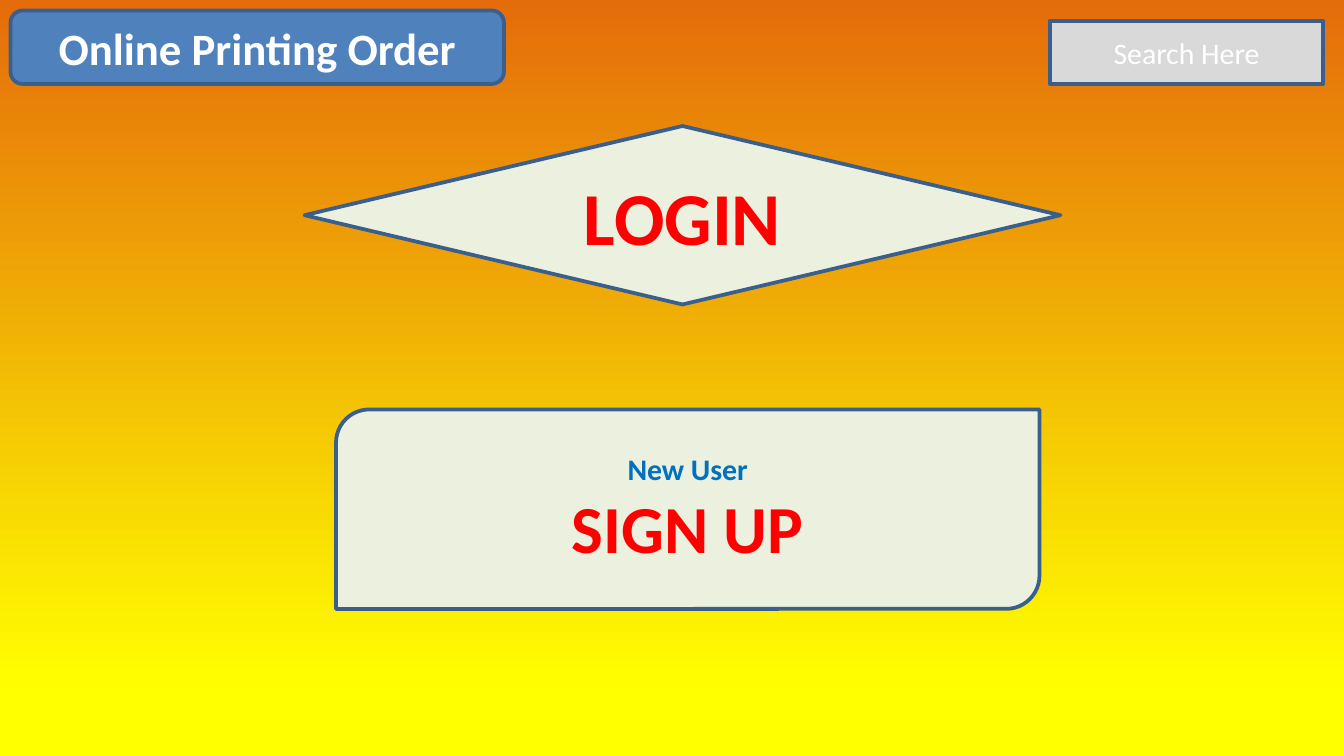
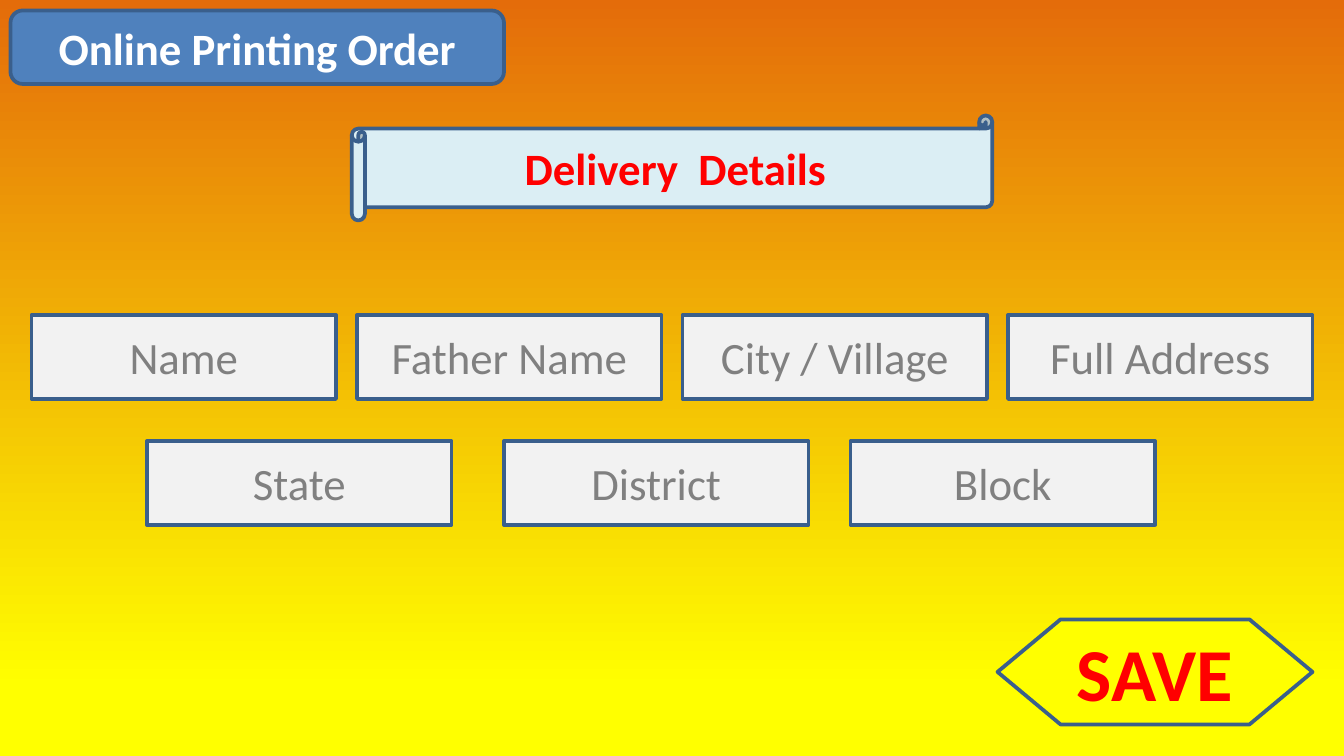
from pptx import Presentation
from pptx.dml.color import RGBColor
from pptx.enum.shapes import MSO_SHAPE
from pptx.enum.text import MSO_ANCHOR, PP_ALIGN
from pptx.util import Emu, Pt

OUTLINE, RED, WHITE = "3A5F8C", "FF0000", "FFFFFF"
TITLE_BLUE, NEW_USER_BLUE = "4F81BD", "0070C0"
ORANGE, YELLOW = "E46C0A", "FFFF00"
BUTTON_FILL, SEARCH_FILL, SCROLL_FILL = "EBF1DE", "D9D9D9", "DBEEF4"
FIELD_FILL, FIELD_TEXT = "F2F2F2", "808080"
EMU_PER_PX = 914400 / 128


def color(value):
    return RGBColor.from_string(value)


def add_box(page, kind, bounds, fill, lines, outline=2):
    box = page.shapes.add_shape(kind, *[Emu(round(px * EMU_PER_PX)) for px in bounds])
    box.shadow.inherit = False
    box.fill.solid()
    box.fill.fore_color.rgb = color(fill)
    box.line.color.rgb = color(OUTLINE)
    box.line.width = Pt(outline)
    frame = box.text_frame
    frame.word_wrap = True
    frame.vertical_anchor = MSO_ANCHOR.MIDDLE
    for index, (text, size, text_color, bold) in enumerate(lines):
        para = frame.add_paragraph() if index else frame.paragraphs[0]
        para.text = text
        para.alignment = PP_ALIGN.CENTER
        para.font.name = "Calibri"
        para.font.size = Pt(size)
        para.font.bold = bold
        para.font.color.rgb = color(text_color)


deck = Presentation()
deck.slide_width = Emu(round(1280 * EMU_PER_PX))
deck.slide_height = Emu(round(720 * EMU_PER_PX))

pages = [deck.slides.add_slide(deck.slide_layouts[6]) for _ in range(2)]
for page in pages:
    background = page.background.fill
    background.gradient()
    background.gradient_angle = 270
    for stop, position, stop_color in zip(background.gradient_stops, (0, 0.91), (ORANGE, YELLOW)):
        stop.position = position
        stop.color.rgb = color(stop_color)
    add_box(page, MSO_SHAPE.ROUNDED_RECTANGLE, (10, 10, 470, 70), TITLE_BLUE,
            [("Online Printing Order", 24, WHITE, True)])

login_page, delivery_page = pages

add_box(login_page, MSO_SHAPE.RECTANGLE, (1000, 20, 260, 60), SEARCH_FILL,
        [("Search Here", 16, WHITE, False)], outline=2.25)
add_box(login_page, MSO_SHAPE.FLOWCHART_DECISION, (290, 120, 720, 170), BUTTON_FILL,
        [("LOGIN", 40, RED, True)])
add_box(login_page, MSO_SHAPE.ROUND_2_DIAG_RECTANGLE, (320, 390, 670, 190), BUTTON_FILL,
        [("New User", 16, NEW_USER_BLUE, True), ("SIGN UP", 36, RED, True)])

field_rows = [
    (300, [(30, "Name"), (340, "Father Name"), (650, "City / Village"), (960, "Full Address")]),
    (420, [(140, "State"), (480, "District"), (810, "Block")]),
]
for top, fields in field_rows:
    for left, label in fields:
        add_box(delivery_page, MSO_SHAPE.RECTANGLE, (left, top, 290, 80), FIELD_FILL,
                [(label, 24, FIELD_TEXT, False)])

add_box(delivery_page, MSO_SHAPE.HORIZONTAL_SCROLL, (335, 110, 610, 100), SCROLL_FILL,
        [("Delivery  Details", 24, RED, True)])
add_box(delivery_page, MSO_SHAPE.FLOWCHART_PREPARATION, (950, 590, 300, 100), YELLOW,
        [("SAVE", 40, RED, True)])

deck.save("out.pptx")
